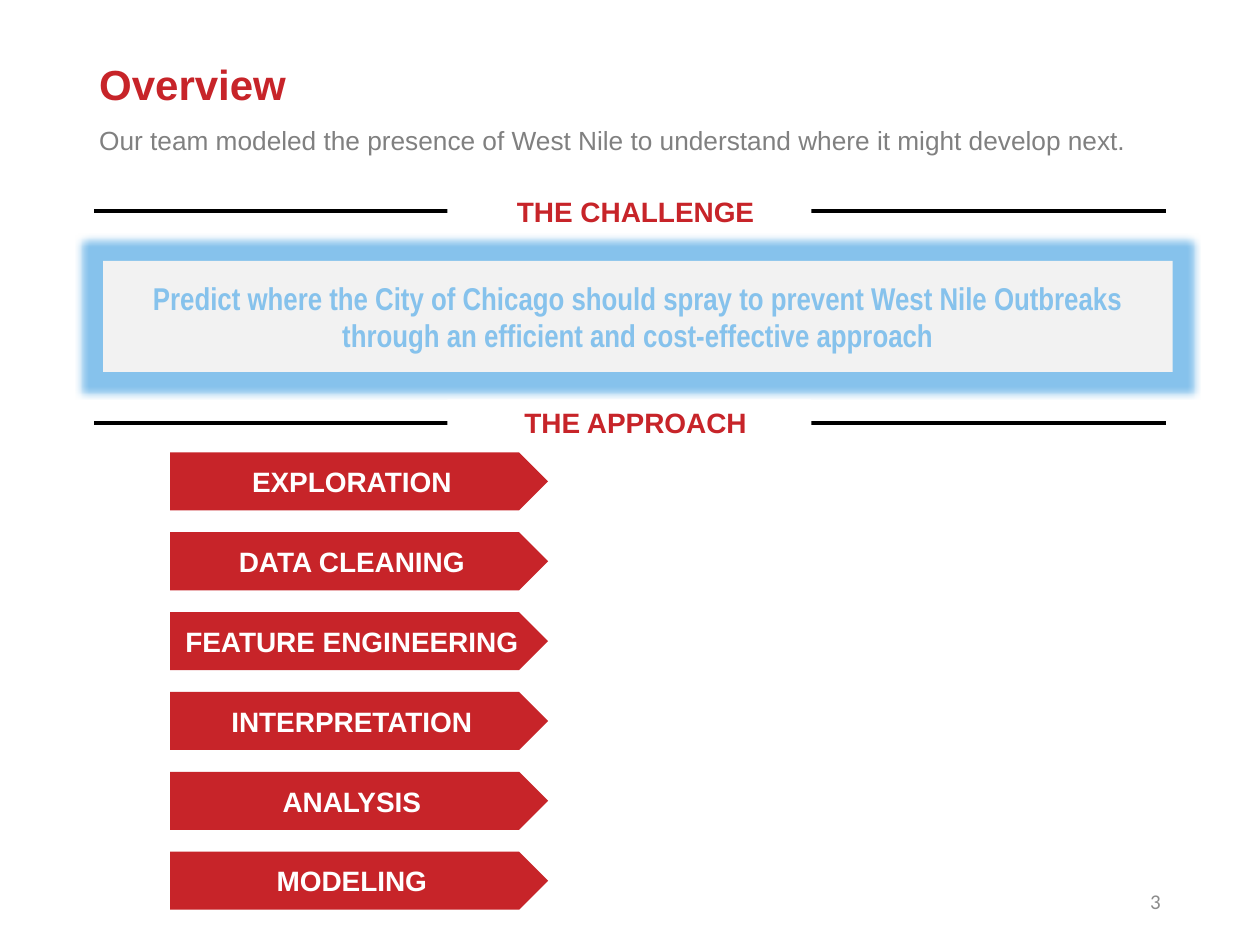
"""Build the West Nile project overview slide."""
import dataclasses

import lxml.etree
import pptx
import pptx.dml.color
import pptx.enum.shapes
import pptx.enum.text
import pptx.oxml.ns
import pptx.util

Cm = pptx.util.Cm
Pt = pptx.util.Pt
Align = pptx.enum.text.PP_ALIGN
Anchor = pptx.enum.text.MSO_ANCHOR
Shape = pptx.enum.shapes.MSO_SHAPE
qn = pptx.oxml.ns.qn


@dataclasses.dataclass(frozen=True)
class Theme:
    red: str = "C72429"
    blue: str = "86C2EC"
    panel: str = "F2F2F2"
    gray: str = "808080"
    light_gray: str = "8C8C8C"
    black: str = "000000"
    white: str = "FFFFFF"
    font: str = "Arial"
    narrow_font: str = "Arial Narrow"
    number_font: str = "Calibri"
    title_size: int = 24
    statement_size: int = 18
    label_size: int = 16
    subtitle_size: int = 15
    number_size: int = 12


class SlideBuilder:
    def __init__(self, slide, theme):
        self.slide = slide
        self.theme = theme

    def set_text(self, shape, text, size, color, font=None, bold=True,
                 align=Align.CENTER, anchor=Anchor.MIDDLE):
        frame = shape.text_frame
        frame.word_wrap = True
        frame.vertical_anchor = anchor
        frame.text = text
        paragraph = frame.paragraphs[0]
        paragraph.alignment = align
        for run in paragraph.runs:
            run.font.name = font or self.theme.font
            run.font.size = Pt(size)
            run.font.bold = bold
            run.font.color.rgb = pptx.dml.color.RGBColor.from_string(color)
        return paragraph

    def text(self, box, text, size, color, **style):
        shape = self.slide.shapes.add_textbox(*map(Cm, box))
        return self.set_text(shape, text, size, color, **style)

    def block(self, kind, box, fill):
        shape = self.slide.shapes.add_shape(kind, *map(Cm, box))
        shape.shadow.inherit = False
        shape.fill.solid()
        shape.fill.fore_color.rgb = pptx.dml.color.RGBColor.from_string(fill)
        shape.line.fill.background()
        return shape

    def statement(self, box, text):
        shape = self.block(Shape.RECTANGLE, box, self.theme.panel)
        effects = shape._element.spPr.find(qn("a:effectLst"))
        glow = lxml.etree.SubElement(effects, qn("a:glow"), rad=str(Pt(8)))
        lxml.etree.SubElement(glow, qn("a:srgbClr"), val=self.theme.blue)
        self.set_text(shape, text, self.theme.statement_size, self.theme.blue,
                      font=self.theme.narrow_font)

    def heading(self, middle, text):
        line = self.slide.shapes.add_connector(
            pptx.enum.shapes.MSO_CONNECTOR.STRAIGHT,
            Cm(1.9), Cm(middle), Cm(23.5), Cm(middle))
        line.line.width = Pt(2.25)
        line.line.color.rgb = pptx.dml.color.RGBColor.from_string(self.theme.black)
        lxml.etree.SubElement(line._element.spPr, qn("a:effectLst"))
        label = self.block(Shape.RECTANGLE, (9.02, middle - 0.47, 7.34, 0.94),
                           self.theme.white)
        label.text_frame.margin_right = 0
        self.set_text(label, text, self.theme.label_size, self.theme.red,
                      anchor=Anchor.TOP)

    def step(self, box, text):
        shape = self.block(Shape.PENTAGON, box, self.theme.red)
        self.set_text(shape, text, self.theme.label_size, self.theme.white)


def main():
    presentation = pptx.Presentation()
    presentation.slide_width = Cm(25.4)
    presentation.slide_height = Cm(19.05)
    theme = Theme()
    slide = presentation.slides.add_slide(presentation.slide_layouts[6])
    builder = SlideBuilder(slide, theme)

    title = builder.text((1.75, 1.02, 21.9, 1.47), "Overview", theme.title_size,
                         theme.red, align=Align.LEFT)
    title.line_spacing = 0.9
    builder.text(
        (1.75, 2.39, 21.2, 0.89),
        "Our team modeled the presence of West Nile to understand where it might develop next.",
        theme.subtitle_size, theme.gray, bold=False, align=Align.LEFT, anchor=Anchor.TOP)
    builder.heading(4.26, "THE CHALLENGE")
    builder.statement(
        (2.08, 5.26, 21.56, 2.24),
        "Predict where the City of Chicago should spray to prevent West Nile Outbreaks "
        "through an efficient and cost-effective approach")
    builder.heading(8.52, "THE APPROACH")

    steps = ("EXPLORATION", "DATA CLEANING", "FEATURE ENGINEERING",
             "INTERPRETATION", "ANALYSIS", "MODELING")
    for index, name in enumerate(steps):
        builder.step((3.43, 9.12 + index * 1.61, 7.62, 1.17), name)

    builder.text((17.93, 17.65, 5.72, 1.02), "3", theme.number_size, theme.light_gray,
                 font=theme.number_font, bold=False, align=Align.RIGHT)
    presentation.save("out.pptx")


if __name__ == "__main__":
    main()
